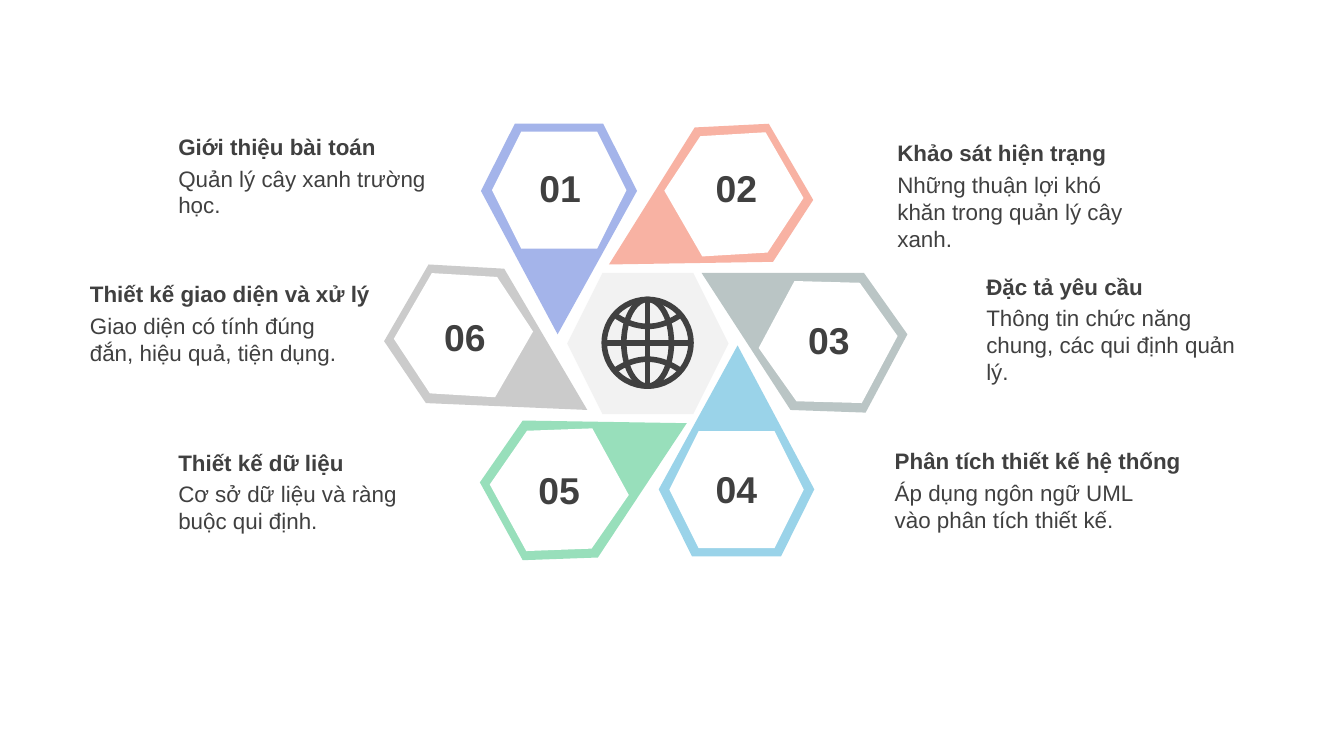
from dataclasses import dataclass

from lxml.etree import SubElement
from pptx import Presentation
from pptx.dml.color import RGBColor
from pptx.enum.shapes import MSO_CONNECTOR as Connector, MSO_SHAPE as Preset
from pptx.enum.text import MSO_AUTO_SIZE as AutoSize, PP_ALIGN as Align
from pptx.oxml.ns import qn
from pptx.util import Cm, Pt

Point = tuple[float, float]

DARK = "404040"
WHITE = "FFFFFF"
HEXAGON_SIZE = (2.54, 2.21)
NUMBER_SIZE = (1.3, 1.12)
HEADING_HEIGHT = 0.76
BODY_OFFSET = 0.6
BODY_WIDTH = 5.36
GLOBE_CENTER = (12.24, 6.48)
GLOBE_RADIUS = 0.82


@dataclass(frozen=True)
class Topic:
    number: str
    color: str
    petal: tuple[Point, ...]
    hexagon: Point
    rotation: float
    number_at: Point
    heading: str
    body: str
    text_at: Point
    heading_width: float = BODY_WIDTH
    body_height: float = 1.27


TOPICS = (
    Topic("01", "A4B4EA",
          ((9.73, 2.34), (11.4, 2.34), (12.04, 3.61), (10.54, 6.32), (9.09, 3.61)),
          (9.3, 2.49), 0, (9.93, 3),
          "Giới thiệu bài toán", "Quản lý cây xanh trường học.", (3.12, 2.39)),
    Topic("02", "F8B2A3",
          ((14.53, 2.34), (15.37, 3.78), (14.61, 4.95), (11.51, 5), (13.13, 2.41)),
          (12.6, 2.57), 60, (13.26, 3),
          "Khảo sát hiện trạng", "Những thuận lợi khó khăn trong quản lý cây xanh.",
          (16.71, 2.51), body_height=1.8),
    Topic("03", "BAC5C5",
          ((17.15, 6.32), (16.36, 7.8), (14.94, 7.75), (13.26, 5.16), (16.33, 5.16)),
          (14.38, 5.36), 118.1, (15.01, 5.87),
          "Đặc tả yêu cầu", "Thông tin chức năng chung, các qui định quản lý.",
          (18.39, 5.03), body_height=1.8),
    Topic("04", "9AD3E9",
          ((14.76, 10.52), (13.08, 10.52), (12.45, 9.25), (13.94, 6.53), (15.39, 9.25)),
          (12.65, 8.15), 180, (13.26, 8.69),
          "Phân tích thiết kế hệ thống", "Áp dụng ngôn ngữ UML vào phân tích thiết kế.",
          (16.66, 8.33), heading_width=6.2),
    Topic("05", "98DFBB",
          ((9.88, 10.59), (9.07, 9.12), (9.88, 7.95), (12.98, 8), (11.3, 10.54)),
          (9.3, 8.15), 241.3, (9.91, 8.71),
          "Thiết kế dữ liệu", "Cơ sở dữ liệu và ràng buộc qui định.", (3.12, 8.36)),
    Topic("06", "CBCBCB",
          ((7.26, 6.45), (8.1, 5), (9.53, 5.08), (11.1, 7.75), (8.05, 7.62)),
          (7.49, 5.23), 300, (8.13, 5.82),
          "Thiết kế giao diện và xử lý", "Giao diện có tính đúng đắn, hiệu quả, tiện dụng.",
          (1.45, 5.18), heading_width=5.87),
)


def rgb(color: str) -> RGBColor:
    return RGBColor.from_string(color)


def paint(shape, color: str) -> None:
    shape.shadow.inherit = False
    shape.fill.solid()
    shape.fill.fore_color.rgb = rgb(color)
    shape.line.fill.background()


def stroke(line) -> None:
    line.color.rgb = rgb(DARK)
    line.width = Pt(3)


def outline(shape) -> None:
    shape.shadow.inherit = False
    shape.fill.background()
    stroke(shape.line)


def add_path(shapes, points: list[Point], close: bool):
    start, *rest = [(Cm(x), Cm(y)) for x, y in points]
    builder = shapes.build_freeform(*start)
    builder.add_line_segments(rest, close=close)
    return builder.convert_to_shape()


def add_hexagon(shapes, at: Point, size: Point, color: str, rotation: float = 0) -> None:
    shape = shapes.add_shape(Preset.HEXAGON, *map(Cm, at + size))
    shape.rotation = rotation
    paint(shape, color)


def add_text(shapes, text: str, at: Point, size: Point, points: int,
             bold: bool = False, wrap: bool = True, align: Align = Align.LEFT) -> None:
    frame = shapes.add_textbox(*map(Cm, at + size)).text_frame
    frame.word_wrap = wrap
    frame.auto_size = AutoSize.SHAPE_TO_FIT_TEXT
    paragraph = frame.paragraphs[0]
    paragraph.alignment = align
    run = paragraph.add_run()
    run.text = text
    run.font.name = "Arial"
    run.font.size = Pt(points)
    run.font.bold = bold
    run.font.color.rgb = rgb(DARK)


def add_petal(shapes, topic: Topic) -> None:
    group = shapes.add_group_shape().shapes
    paint(add_path(group, list(topic.petal), close=True), topic.color)
    add_hexagon(group, topic.hexagon, HEXAGON_SIZE, WHITE, topic.rotation)


def add_labels(shapes, topic: Topic) -> None:
    add_text(shapes, topic.number, topic.number_at, NUMBER_SIZE, 20,
             bold=True, wrap=False, align=Align.RIGHT)
    left, top = topic.text_at
    add_text(shapes, topic.body, (left, top + BODY_OFFSET),
             (BODY_WIDTH, topic.body_height), 12)
    add_text(shapes, topic.heading, topic.text_at,
             (topic.heading_width, HEADING_HEIGHT), 12, bold=True)


def add_globe(shapes) -> None:
    group = shapes.add_group_shape().shapes
    x, y = GLOBE_CENTER
    for half_width in (GLOBE_RADIUS, 0.45):
        outline(group.add_shape(Preset.OVAL, Cm(x - half_width), Cm(y - GLOBE_RADIUS),
                                Cm(2 * half_width), Cm(2 * GLOBE_RADIUS)))
    for dx, dy in ((GLOBE_RADIUS, 0), (0, GLOBE_RADIUS)):
        axis = group.add_connector(Connector.STRAIGHT, Cm(x - dx), Cm(y - dy),
                                   Cm(x + dx), Cm(y + dy))
        stroke(axis.line)
        SubElement(axis._element.spPr, qn("a:effectLst"))
    for side in (-1, 1):
        parallel = [(x + 0.6 * step / 10, y + side * (0.31 + 0.2 * (step / 10) ** 2))
                    for step in range(-10, 11)]
        outline(add_path(group, parallel, close=False))


def main() -> None:
    presentation = Presentation()
    presentation.slide_width = Cm(25.4)
    presentation.slide_height = Cm(14.29)
    slide = presentation.slides.add_slide(presentation.slide_layouts[6])
    shapes = slide.shapes
    for topic in TOPICS:
        add_petal(shapes, topic)
    add_hexagon(shapes, (10.72, 5.16), (3.05, 2.67), "F2F2F2")
    add_globe(shapes)
    for topic in TOPICS:
        add_labels(shapes, topic)
    presentation.save("out.pptx")


if __name__ == "__main__":
    main()
